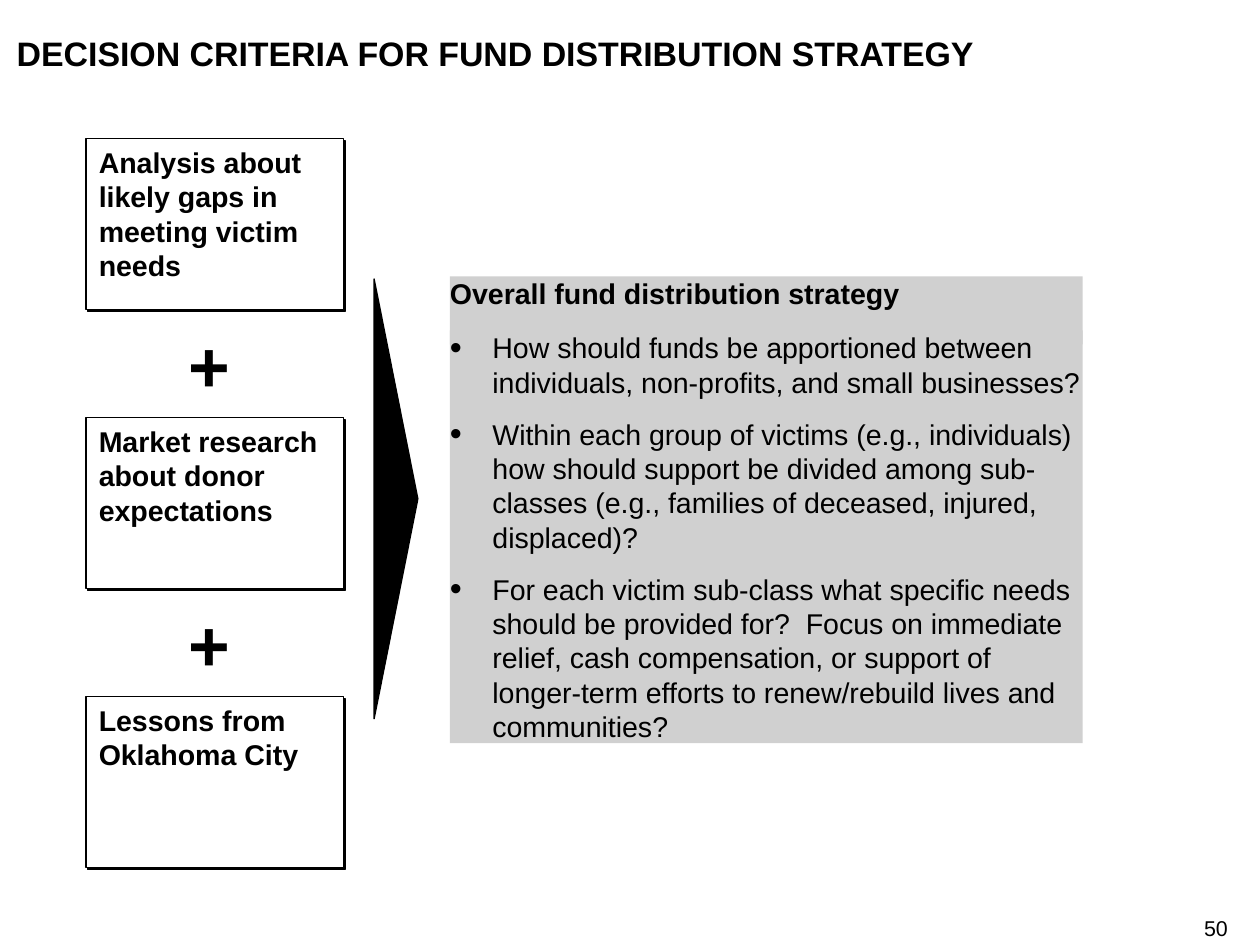
from lxml import etree
from pptx import Presentation
from pptx import util as u
from pptx.dml.color import RGBColor
from pptx.enum import shapes, text
from pptx.oxml.ns import qn

PX = 9144  # EMU; 100 px to the inch
FONT = "Arial"
BLACK = RGBColor(0, 0, 0)
WHITE = RGBColor(255, 255, 255)
GREY = RGBColor(0xD0, 0xD0, 0xD0)

INPUTS = [
    "Analysis about likely gaps in meeting victim needs",
    "Market research about donor expectations",
    "Lessons from Oklahoma City",
]
QUESTIONS = [
    "How should funds be apportioned between individuals, non-profits, "
    "and small businesses?",
    "Within each group of victims (e.g., individuals) how should support be "
    "divided among sub-classes (e.g., families of deceased, injured, displaced)?",
    "For each victim sub-class what specific needs should be provided for?  "
    "Focus on immediate relief, cash compensation, or support of longer-term "
    "efforts to renew/rebuild lives and communities?",
]


def add_block(page, box, fill=None, outlined=False,
              kind=shapes.MSO_SHAPE.RECTANGLE):
    """Add a shape, or a plain text box when there is no fill."""
    area = [u.Emu(side * PX) for side in box]
    if fill is None:
        return page.shapes.add_textbox(*area)
    block = page.shapes.add_shape(kind, *area)
    block.shadow.inherit = False
    block.fill.solid()
    block.fill.fore_color.rgb = fill
    if outlined:
        block.line.color.rgb = BLACK
        block.line.width = u.Pt(0.75)
    else:
        block.line.fill.background()
    return block


def write(block, lines, size, bold=False, align=text.PP_ALIGN.LEFT,
          margins=(0, 0), bulleted=False):
    frame = block.text_frame
    frame.word_wrap = True
    frame.vertical_anchor = text.MSO_ANCHOR.TOP
    frame.margin_left = frame.margin_right = u.Emu(margins[0] * PX)
    frame.margin_top = frame.margin_bottom = u.Emu(margins[1] * PX)
    for number, line in enumerate(lines):
        para = frame.add_paragraph() if number else frame.paragraphs[0]
        para.alignment = align
        if bulleted:
            add_bullet(para, 33)
            para.space_after = u.Pt(10)
        span = para.add_run()
        span.text = line
        span.font.name = FONT
        span.font.size = u.Pt(size)
        span.font.bold = bold
        span.font.color.rgb = BLACK


def add_bullet(para, indent):
    props = para._p.get_or_add_pPr()
    props.set("marL", str(indent * PX))
    props.set("indent", str(-indent * PX))
    colour = etree.SubElement(props, qn("a:buClr"))
    etree.SubElement(colour, qn("a:srgbClr"), val=str(BLACK))
    etree.SubElement(props, qn("a:buSzPct"), val="120000")
    etree.SubElement(props, qn("a:buFont"), typeface=FONT)
    etree.SubElement(props, qn("a:buChar"), char="•")


def add_hard_shadow(block):
    effects = block._element.spPr.find(qn("a:effectLst"))
    shadow = etree.SubElement(effects, qn("a:outerShdw"), blurRad="0",
                              dist=str(u.Pt(1.4)), dir="2700000",
                              algn="ctr", rotWithShape="0")
    etree.SubElement(shadow, qn("a:srgbClr"), val=str(BLACK))


def add_inputs(page, box):
    """Stack the input boxes at an equal pitch, with a plus in each gap."""
    left, top, width, height = box
    card_height = 133
    pitch = (height - card_height) // (len(INPUTS) - 1)
    for number, label in enumerate(INPUTS):
        card_top = top + number * pitch
        if number:
            plus = add_block(page, (left, card_top - 75, width - 8, 67))
            write(plus, ["+"], 40, bold=True, align=text.PP_ALIGN.CENTER)
        card = add_block(page, (left, card_top, width, card_height),
                         WHITE, outlined=True)
        add_hard_shadow(card)
        write(card, [label], 16, bold=True, margins=(10, 5))


def add_arrow(page, box):
    """Fill the box with a triangle that points right."""
    left, top, width, height = box
    shift = (height - width) // 2
    arrow = add_block(page, (left - shift, top + shift, height, width), BLACK,
                      outlined=True, kind=shapes.MSO_SHAPE.ISOSCELES_TRIANGLE)
    arrow.rotation = 90


def add_strategy(page, box):
    left, top, width, height = box
    heading = add_block(page, (left, top, width, 53), GREY)
    write(heading, ["Overall fund distribution strategy"], 16, bold=True)
    questions = add_block(page, (left, top + 42, width, height - 42), GREY)
    write(questions, QUESTIONS, 16, bulleted=True)


def main():
    deck = Presentation()
    deck.slide_width = u.Emu(980 * PX)
    deck.slide_height = u.Emu(735 * PX)
    page = deck.slides.add_slide(deck.slide_layouts[6])
    title = add_block(page, (13, 25, 943, 32))
    write(title, ["DECISION CRITERIA FOR FUND DISTRIBUTION STRATEGY"], 19,
          bold=True)
    add_inputs(page, (67, 108, 200, 567))
    add_arrow(page, (291, 217, 34, 342))
    add_strategy(page, (350, 215, 492, 363))
    page_number = add_block(page, (935, 712, 20, 20))
    write(page_number, ["50"], 12, align=text.PP_ALIGN.RIGHT)
    deck.save("out.pptx")


if __name__ == "__main__":
    main()
